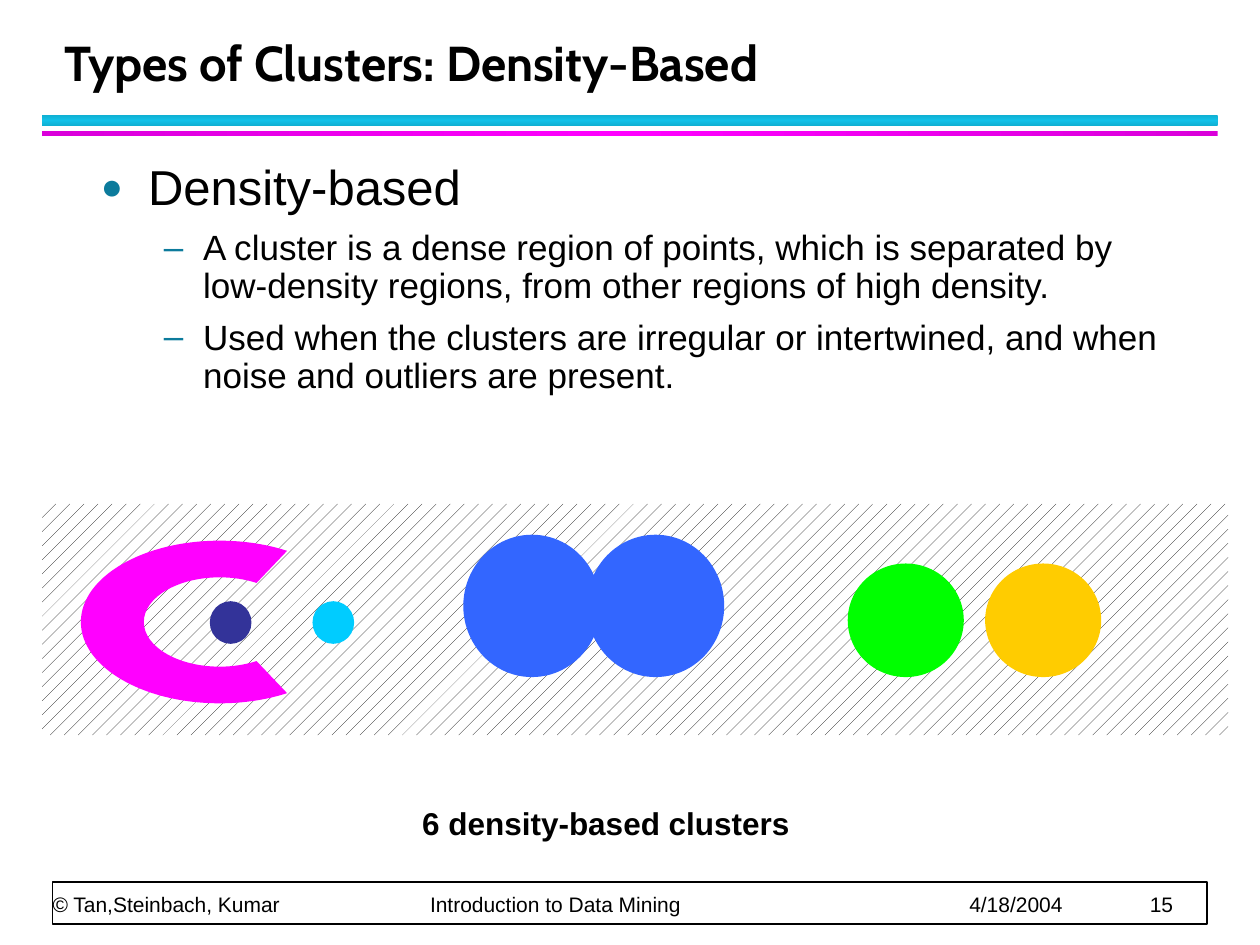
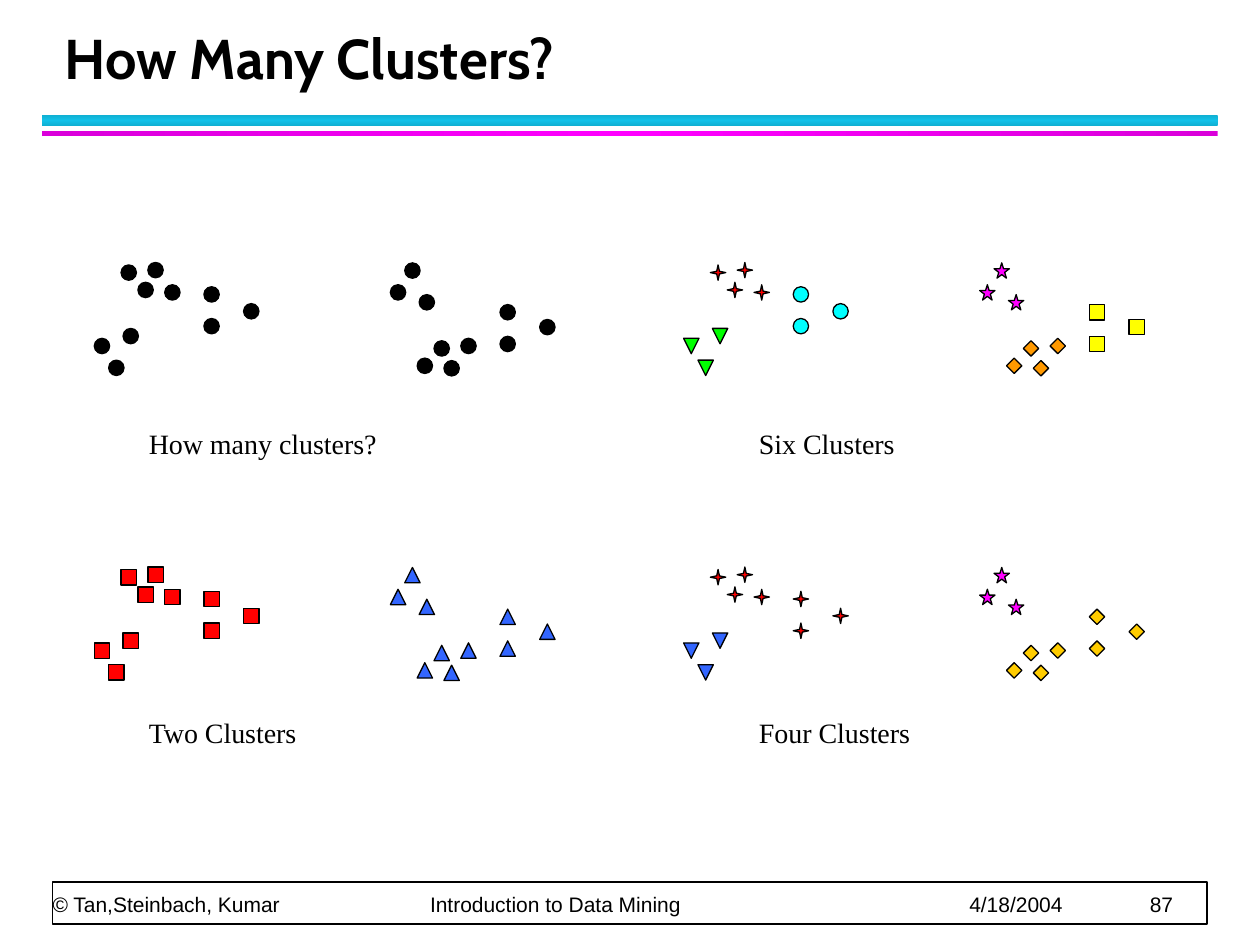
import math
from lxml import etree
from pptx import Presentation
from pptx import util as u
from pptx.dml.color import RGBColor
from pptx.enum import dml, shapes, text
from pptx.oxml import ns

BLACK = RGBColor(0x00, 0x00, 0x00)
WHITE = RGBColor(0xFF, 0xFF, 0xFF)
TEAL = RGBColor(0x0C, 0x7B, 0x9C)
CYAN_EDGE = RGBColor(0x10, 0xB0, 0xD3)
CYAN_CORE = RGBColor(0x12, 0xC2, 0xE9)
PURPLE = RGBColor(0xDA, 0x00, 0xDA)
MAGENTA = RGBColor(0xFF, 0x00, 0xFF)
NAVY = RGBColor(0x33, 0x33, 0x99)
SKY = RGBColor(0x00, 0xCC, 0xFF)
AQUA = RGBColor(0x00, 0xFF, 0xFF)
BLUE = RGBColor(0x33, 0x66, 0xFF)
GREEN = RGBColor(0x00, 0xFF, 0x00)
GOLD = RGBColor(0xFF, 0xCC, 0x00)
YELLOW = RGBColor(0xFF, 0xFF, 0x00)
ORANGE = RGBColor(0xFF, 0x99, 0x00)
RED = RGBColor(0xFF, 0x00, 0x00)

KIND = shapes.MSO_SHAPE


def add_mark(page, kind, place, color, line_width=None):
    mark = page.shapes.add_shape(kind, *[u.Cm(length) for length in place])
    mark.shadow.inherit = False
    mark.fill.solid()
    mark.fill.fore_color.rgb = color
    if line_width:
        mark.line.color.rgb = BLACK
        mark.line.width = u.Pt(line_width)
    else:
        mark.line.fill.background()
    return mark


def add_label(page, place, words, font, size, bold=False):
    box = page.shapes.add_textbox(*[u.Cm(length) for length in place])
    box.text_frame.word_wrap = True
    para = box.text_frame.paragraphs[0]
    para.text = words
    span = para.runs[0].font
    span.name, span.size, span.bold = font, u.Pt(size), bold
    span.color.rgb = BLACK
    return box


deck = Presentation()
deck.slide_width = u.Cm(25.4)
deck.slide_height = u.Cm(19.05)

bands = [(2.32, 0.22, CYAN_EDGE, CYAN_CORE, 90), (2.64, 0.11, PURPLE, MAGENTA, 0)]
pages = []
for layout, heading, size, number in [
    (1, "Types of Clusters: Density-Based", 28, 15),
    (5, "How Many Clusters?", 32, 87),
]:
    page = deck.slides.add_slide(deck.slide_layouts[layout])
    pages.append(page)
    for top, height, edge, core, angle in bands:
        band = add_mark(page, KIND.RECTANGLE, (0.84, top, 23.71, height), edge)
        band.fill.gradient()
        band.fill.gradient_angle = angle
        stops = band._element.spPr.find(ns.qn("a:gradFill")).find(ns.qn("a:gsLst"))
        for stop in list(stops):
            stops.remove(stop)
        for position, color in [(0, edge), (50000, core), (100000, edge)]:
            stop = etree.SubElement(stops, ns.qn("a:gs"), pos=str(position))
            etree.SubElement(stop, ns.qn("a:srgbClr"), val=str(color))

    add_mark(page, KIND.RECTANGLE, (1.06, 17.78, 23.28, 0.85), WHITE, 1)
    footer = add_label(
        page, (1.06, 17.78, 23.24, 0.71),
        f"© Tan,Steinbach, Kumar\tIntroduction to Data Mining\t4/18/2004\t{number}",
        "Arial", 12)
    frame = footer.text_frame
    frame.margin_left = frame.margin_right = frame.margin_top = frame.margin_bottom = 0
    frame.vertical_anchor = text.MSO_ANCHOR.BOTTOM
    frame.paragraphs[0].line_spacing = u.Pt(20)
    tabs = etree.SubElement(frame.paragraphs[0]._p.get_or_add_pPr(), ns.qn("a:tabLst"))
    for stop in (7.61, 18.48, 22.12):
        etree.SubElement(tabs, ns.qn("a:tab"), pos=str(u.Cm(stop)), algn="l")

    title = page.shapes.title
    title.left, title.top = u.Cm(1.05), u.Cm(0.44)
    title.width, title.height = u.Cm(23.01), u.Cm(1.52)
    title.text_frame.text = heading
    title.text_frame.auto_size = text.MSO_AUTO_SIZE.NONE
    title.text_frame.vertical_anchor = text.MSO_ANCHOR.BOTTOM
    para = title.text_frame.paragraphs[0]
    para.alignment = text.PP_ALIGN.LEFT
    para.line_spacing = u.Pt(36)
    span = para.runs[0].font
    span.name, span.size, span.bold = "Cabin", u.Pt(size), True
    span.color.rgb = BLACK

density_page, count_page = pages

body = density_page.placeholders[1]
body.left, body.top = u.Cm(1.78), u.Cm(3.17)
body.width, body.height = u.Cm(22.23), u.Cm(14.2)
frame = body.text_frame
frame.auto_size = text.MSO_AUTO_SIZE.NONE
points = [
    (0, "Density-based"),
    (1, "A cluster is a dense region of points, which is separated by "
        "low-density regions, from other regions of high density."),
    (1, "Used when the clusters are irregular or intertwined, and when "
        "noise and outliers are present."),
]
levels = [(28, 0.95, 0.95, "●", 75), (20, 2.06, 0.79, "–", 100)]
for index, (level, words) in enumerate(points):
    size, margin, hang, bullet, scale = levels[level]
    para = frame.paragraphs[0] if index == 0 else frame.add_paragraph()
    para.text = words
    para.level = level
    para.line_spacing = 0.9
    para.space_before = u.Pt(0)
    para.space_after = u.Pt(4)
    span = para.runs[0].font
    span.name, span.size = "Arial", u.Pt(size)
    span.color.rgb = BLACK
    props = para._p.get_or_add_pPr()
    props.set("marL", str(u.Cm(margin)))
    props.set("indent", str(-u.Cm(hang)))
    before = props.find(ns.qn("a:spcBef"))
    before.remove(before[0])
    etree.SubElement(before, ns.qn("a:spcPct"), val="20000")
    bullet_color = etree.SubElement(props, ns.qn("a:buClr"))
    etree.SubElement(bullet_color, ns.qn("a:srgbClr"), val=str(TEAL))
    etree.SubElement(props, ns.qn("a:buSzPct"), val=str(scale * 1000))
    etree.SubElement(props, ns.qn("a:buFont"), typeface="Arial")
    etree.SubElement(props, ns.qn("a:buChar"), char=bullet)

noise = add_mark(density_page, KIND.RECTANGLE, (0.85, 10.16, 23.91, 4.66), WHITE)
noise.fill.patterned()
noise.fill.pattern = dml.MSO_PATTERN.PERCENT_10
noise.fill.fore_color.rgb = BLACK
noise.fill.back_color.rgb = WHITE

outline = []
for radius_x, radius_y, angles in [
    (2.8, 1.64, (61, 90, 180, 270, 299)),
    (1.53, 0.9, (299, 270, 180, 90, 61)),
]:
    turns = [math.radians(angle) for angle in angles]
    arc = [(math.cos(turns[0]), math.sin(turns[0]))]
    for start, end in zip(turns, turns[1:]):
        pull = 4 / 3 * math.tan((end - start) / 4)
        arc += [
            (math.cos(start) - pull * math.sin(start), math.sin(start) + pull * math.cos(start)),
            (math.cos(end) + pull * math.sin(end), math.sin(end) - pull * math.cos(end)),
            (math.cos(end), math.sin(end)),
        ]
    outline += [(u.Cm(4.43 + radius_x * x), u.Cm(12.54 + radius_y * y)) for x, y in arc]
builder = density_page.shapes.build_freeform(*outline[0])
builder.add_line_segments(outline[1:], close=True)
crescent = builder.convert_to_shape()
crescent.shadow.inherit = False
crescent.fill.solid()
crescent.fill.fore_color.rgb = MAGENTA
crescent.line.fill.background()
segments = list(crescent._element.iter(ns.qn("a:lnTo")))
for first in (0, 3, 6, 9, 13, 16, 19, 22):
    curve = etree.Element(ns.qn("a:cubicBezTo"))
    segments[first].addprevious(curve)
    for segment in segments[first:first + 3]:
        curve.append(segment[0])
        segment.getparent().remove(segment)

for left, top, width, height, color in [
    (4.23, 12.12, 0.84, 0.86, NAVY),
    (6.3, 12.12, 0.84, 0.86, SKY),
    (17.09, 11.36, 2.34, 2.29, GREEN),
    (19.86, 11.36, 2.34, 2.29, GOLD),
    (9.34, 10.78, 2.77, 2.87, BLUE),
    (11.83, 10.78, 2.77, 2.87, BLUE),
]:
    add_mark(density_page, KIND.OVAL, (left, top, width, height), color)
add_label(density_page, (8.26, 16.08, 8.89, 1.02), "6 density-based clusters",
          "Arial", 18, True)

clumps = [
    [(1.42, 0.46), (0.54, 0.06), (1.08, 0.01), (0.88, 0.41)],
    [(0.58, 1.34), (0, 1.54), (0.29, 1.98)],
    [(2.21, 0.5), (3.01, 0.84), (2.21, 1.14)],
]
DOT = (KIND.OVAL, BLACK)
SQUARE = (KIND.RECTANGLE, RED)
TRIANGLE = (KIND.ISOSCELES_TRIANGLE, BLUE)
SPARK = (KIND.STAR_4_POINT, RED)
STAR = (KIND.STAR_5_POINT, MAGENTA)
DIAMOND = (KIND.DIAMOND, GOLD)
panels = [
    (0, 0, "How many clusters?", [DOT] * 3, [DOT] * 3),
    (1, 0, "Six Clusters",
     [SPARK, (KIND.ISOSCELES_TRIANGLE, GREEN), (KIND.OVAL, AQUA)],
     [(KIND.DIAMOND, ORANGE), STAR, (KIND.RECTANGLE, YELLOW)]),
    (0, 1, "Two Clusters", [SQUARE] * 3, [TRIANGLE] * 3),
    (1, 1, "Four Clusters", [SPARK, TRIANGLE, SPARK], [DIAMOND, STAR, DIAMOND]),
]
for column, row, caption, left_styles, right_styles in panels:
    left, top = 1.9 + 11.88 * column, 5.28 + 6.14 * row
    for clump, left_style, right_style in zip(clumps, left_styles, right_styles):
        for x, y in clump:
            mark = add_mark(count_page, left_style[0],
                            (left + x, top + y, 0.31, 0.31), left_style[1], 0.75)
            mark.rotation = 180
            add_mark(count_page, right_style[0],
                     (left + 5.97 + x, top + 2 - y, 0.31, 0.31), right_style[1], 0.75)
    add_label(count_page, (2.75 + 12.3 * column, 8.47 + 5.83 * row, 6.35, 0.94),
              caption, "Times New Roman", 16)

deck.save("out.pptx")
